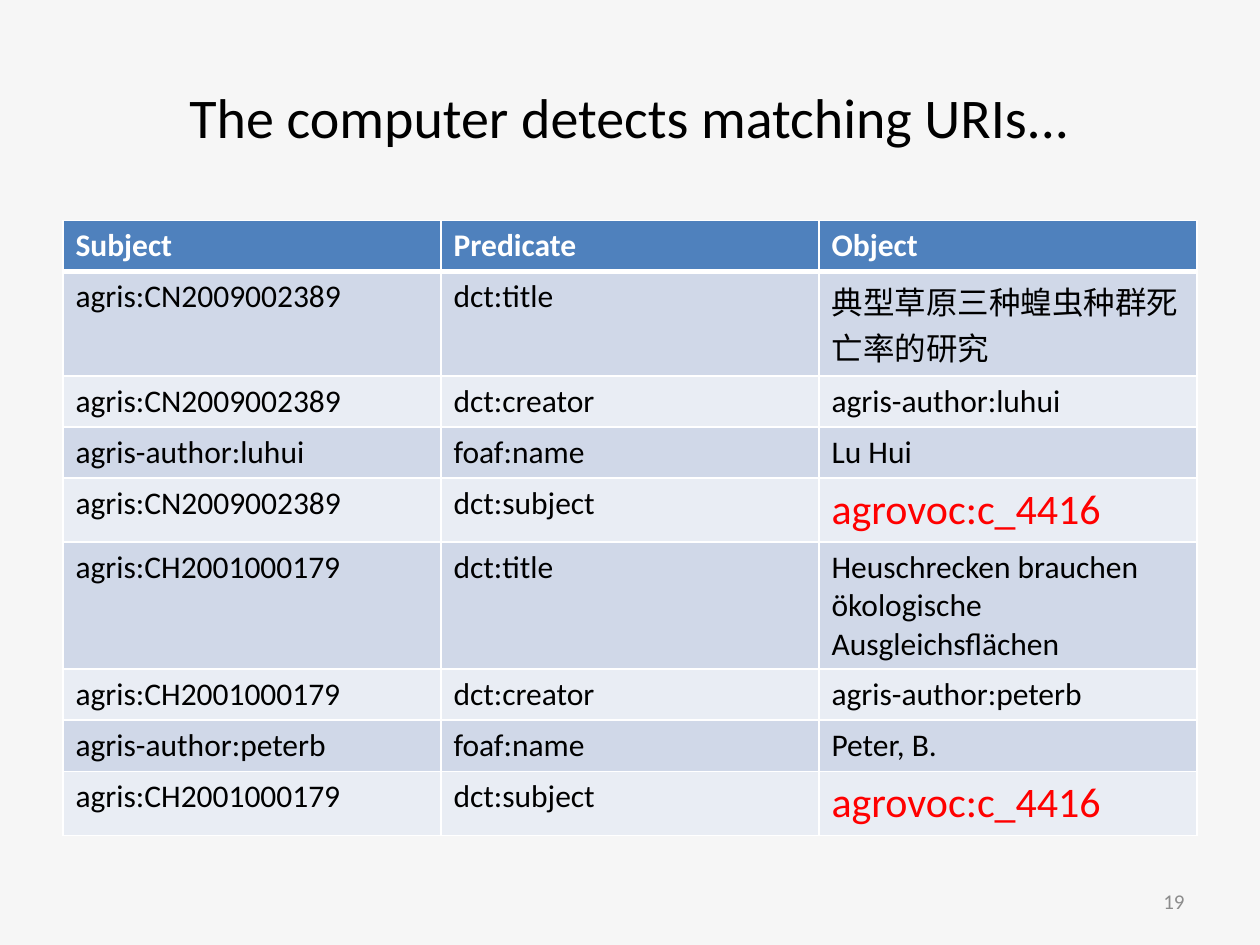
import pptx
import pptx.dml.color
import pptx.enum.text
import pptx.oxml
import pptx.oxml.ns
import pptx.util

Pt = pptx.util.Pt
RGBColor = pptx.dml.color.RGBColor
ALIGN = pptx.enum.text.PP_ALIGN
ANCHOR = pptx.enum.text.MSO_ANCHOR

FONT = "Calibri"
BACKGROUND = RGBColor(0xF6, 0xF6, 0xF6)
BLACK = RGBColor(0x00, 0x00, 0x00)
WHITE = RGBColor(0xFF, 0xFF, 0xFF)
RED = RGBColor(0xFF, 0x00, 0x00)
GREY = RGBColor(0x8C, 0x8C, 0x8C)
HEADER_BLUE = RGBColor(0x4F, 0x81, 0xBD)
BANDS = (RGBColor(0xD0, 0xD8, 0xE8), RGBColor(0xE9, 0xED, 0xF4))

MATCHING_URI = "agrovoc:c_4416"
TRIPLES = [
    ("Subject", "Predicate", "Object"),
    ("agris:CN2009002389", "dct:title", "典型草原三种蝗虫种群死亡率的研究"),
    ("agris:CN2009002389", "dct:creator", "agris-author:luhui"),
    ("agris-author:luhui", "foaf:name", "Lu Hui"),
    ("agris:CN2009002389", "dct:subject", MATCHING_URI),
    ("agris:CH2001000179", "dct:title",
     "Heuschrecken brauchen ökologische Ausgleichsflächen"),
    ("agris:CH2001000179", "dct:creator", "agris-author:peterb"),
    ("agris-author:peterb", "foaf:name", "Peter, B."),
    ("agris:CH2001000179", "dct:subject", MATCHING_URI),
]
ROW_HEIGHTS = [29.2, 59.6, 29.2, 29.2, 36.6, 72.6, 29.2, 29.2, 36.6]


def style_text(frame, size, color, bold=False, align=ALIGN.LEFT):
    """Format every run of a text frame."""
    for paragraph in frame.paragraphs:
        paragraph.alignment = align
        for run in paragraph.runs:
            run.font.name = FONT
            run.font.size = Pt(size)
            run.font.bold = bold
            run.font.color.rgb = color


def add_label(slide, box, text, size, color, align):
    """Place one vertically centred line of text in a box."""
    frame = slide.shapes.add_textbox(*map(Pt, box)).text_frame
    frame.word_wrap = True
    frame.vertical_anchor = ANCHOR.MIDDLE
    frame.text = text
    style_text(frame, size, color, align=align)


def add_borders(cell, bottom_width, top_width):
    """Draw white lines around a cell."""
    properties = cell._tc.get_or_add_tcPr()
    widths = {"L": 1, "R": 1, "T": top_width, "B": bottom_width}
    for side, width in widths.items():
        properties.append(pptx.oxml.parse_xml(
            f'<a:ln{side} {pptx.oxml.ns.nsdecls("a")} w="{Pt(width)}">'
            f'<a:solidFill><a:srgbClr val="{WHITE}"/></a:solidFill></a:ln{side}>'))


def add_triples(slide, box):
    """Fill a box with the banded table of triples."""
    left, top, width, height = box
    columns = len(TRIPLES[0])
    table = slide.shapes.add_table(
        len(TRIPLES), columns, Pt(left), Pt(top), Pt(width), Pt(height)).table
    for column in table.columns:
        column.width = Pt(width / columns)
    for index, (triple, row_height) in enumerate(zip(TRIPLES, ROW_HEIGHTS)):
        table.rows[index].height = Pt(row_height)
        is_header = index == 0
        for cell, term in zip(table.rows[index].cells, triple):
            add_borders(cell, 3 if is_header else 1, 3 if index == 1 else 1)
            cell.fill.solid()
            cell.fill.fore_color.rgb = HEADER_BLUE if is_header else BANDS[(index - 1) % 2]
            cell.text_frame.text = term
            if term == MATCHING_URI:
                style_text(cell.text_frame, 24, RED)
            else:
                style_text(cell.text_frame, 18, WHITE if is_header else BLACK, is_header)


def main():
    """Build and save the slide."""
    deck = pptx.Presentation()
    deck.slide_width, deck.slide_height = Pt(720), Pt(540)
    slide = deck.slides.add_slide(deck.slide_layouts[6])
    slide.background.fill.solid()
    slide.background.fill.fore_color.rgb = BACKGROUND
    add_label(slide, (36, 21.6, 648, 90),
              "The computer detects matching URIs...", 32, BLACK, ALIGN.CENTER)
    add_triples(slide, (36, 126, 648, sum(ROW_HEIGHTS)))
    add_label(slide, (516, 500.5, 168, 28.8), "19", 12, GREY, ALIGN.RIGHT)
    deck.save("out.pptx")


if __name__ == "__main__":
    main()
